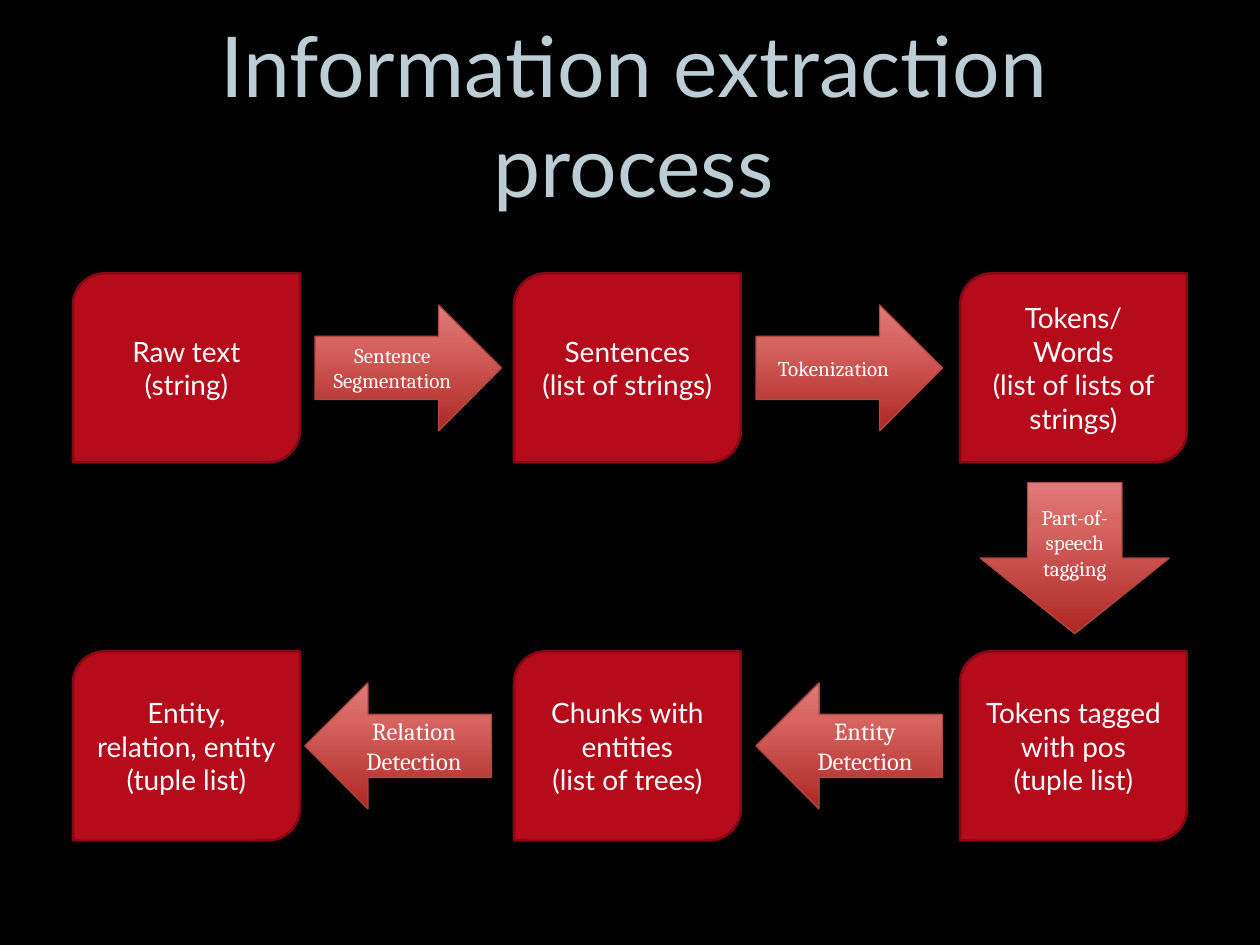
"""Build the information extraction process slide."""
from copy import deepcopy

from pptx import Presentation
from pptx.dml.color import RGBColor
from pptx.enum.shapes import MSO_SHAPE
from pptx.enum.text import MSO_ANCHOR, MSO_AUTO_SIZE, PP_ALIGN
from pptx.oxml.ns import qn
from pptx.util import Inches, Pt

CENTER = PP_ALIGN.CENTER
MIDDLE = MSO_ANCHOR.MIDDLE
NO_FIT = MSO_AUTO_SIZE.NONE
BOX = MSO_SHAPE.ROUND_2_DIAG_RECTANGLE
RIGHT = MSO_SHAPE.RIGHT_ARROW
LEFT = MSO_SHAPE.LEFT_ARROW
DOWN = MSO_SHAPE.DOWN_ARROW

COLORS = {
    "background": "000000", "title": "BDCDD5", "text": "FFFFFF",
    "box": "B50B1B", "box_line": "860814", "arrow_line": "AE4845",
}
GRADIENT = [(0, "AD2724"), (0.72, "D76562"), (1, "E17B79")]

TITLE = "Information extraction process"
STAGES = [
    [["Raw text", "(string)"],
     ["Sentences", "(list of strings)"],
     ["Tokens/", "Words", "(list of lists of strings)"]],
    [["Entity, relation, entity", "(tuple list)"],
     ["Chunks with entities", "(list of trees)"],
     ["Tokens tagged with pos", "(tuple list)"]],
]
STEPS = [
    (RIGHT, 2.5, 0, ["Sentence", "Segmentation"], 12),
    (RIGHT, 6, 0, ["Tokenization"], 12),
    (LEFT, 6, 1, ["Entity Detection"], 14),
    (LEFT, 2.42, 1, ["Relation", "Detection"], 14),
]
DOWN_STEP = ["Part-of-speech tagging"]

COLUMNS = [0.58, 4.08, 7.62]
ROWS = [2.17, 5.17]
BOX_WIDTH, BOX_HEIGHT = 1.8, 1.5
ARROW_WIDTH, ARROW_HEIGHT = 1.48, 1
DOWN_WIDTH, DOWN_HEIGHT = 1.5, 1.2


def rgb(name):
    return RGBColor.from_string(COLORS[name])


def write(frame, lines, size, font, color="text"):
    frame.word_wrap = True
    frame.auto_size = NO_FIT
    frame.vertical_anchor = MIDDLE
    for index, line in enumerate(lines):
        para = frame.add_paragraph() if index else frame.paragraphs[0]
        para.alignment = CENTER
        span = para.add_run()
        span.text = line
        span.font.size = Pt(size)
        span.font.name = font
        span.font.color.rgb = rgb(color)


def add_shape(slide, kind, left, top, width, height, line, weight):
    shape = slide.shapes.add_shape(
        kind, Inches(left), Inches(top), Inches(width), Inches(height))
    shape.shadow.inherit = False
    shape.line.color.rgb = rgb(line)
    shape.line.width = Pt(weight)
    return shape


def add_box(slide, left, top, lines):
    box = add_shape(slide, BOX, left, top, BOX_WIDTH, BOX_HEIGHT, "box_line", 1.5)
    box.fill.solid()
    box.fill.fore_color.rgb = rgb("box")
    write(box.text_frame, lines, 16, "Lato")


def add_arrow(slide, kind, left, top, width, height, lines, size):
    arrow = add_shape(slide, kind, left, top, width, height, "arrow_line", 0.75)
    arrow.fill.gradient()
    arrow.fill.gradient_angle = 90
    stop_list = next(arrow.element.spPr.iter(qn("a:gsLst")))
    stop_list.append(deepcopy(stop_list[-1]))
    for stop, (position, color) in zip(arrow.fill.gradient_stops, GRADIENT):
        stop.position = position
        stop.color.rgb = RGBColor.from_string(color)
    write(arrow.text_frame, lines, size, "Cambria")
    return arrow


def main():
    deck = Presentation()
    deck.slide_width, deck.slide_height = Inches(10), Inches(7.5)
    slide = deck.slides.add_slide(deck.slide_layouts[5])
    slide.background.fill.solid()
    slide.background.fill.fore_color.rgb = rgb("background")

    title = slide.shapes.title
    title.left, title.top = Inches(0.5), Inches(0.28)
    title.width, title.height = Inches(9), Inches(1.25)
    write(title.text_frame, [TITLE], 48, "Lato", "title")
    properties = title.text_frame.paragraphs[0]._p.get_or_add_pPr()
    properties.set("marL", str(Inches(0.06)))
    properties.set("indent", "0")

    for top, stages in zip(ROWS, STAGES):
        for left, lines in zip(COLUMNS, stages):
            add_box(slide, left, top, lines)

    for kind, left, row, lines, size in STEPS:
        top = ROWS[row] + (BOX_HEIGHT - ARROW_HEIGHT) / 2
        add_arrow(slide, kind, left, top, ARROW_WIDTH, ARROW_HEIGHT, lines, size)

    left = COLUMNS[-1] + (BOX_WIDTH - DOWN_WIDTH) / 2 + 0.01
    top = (ROWS[0] + BOX_HEIGHT + ROWS[1] - DOWN_HEIGHT) / 2 + 0.01
    arrow = add_arrow(slide, DOWN, left, top, DOWN_WIDTH, DOWN_HEIGHT, DOWN_STEP, 12)
    arrow.text_frame.margin_top = Inches(0.1)

    deck.save("out.pptx")


if __name__ == "__main__":
    main()
